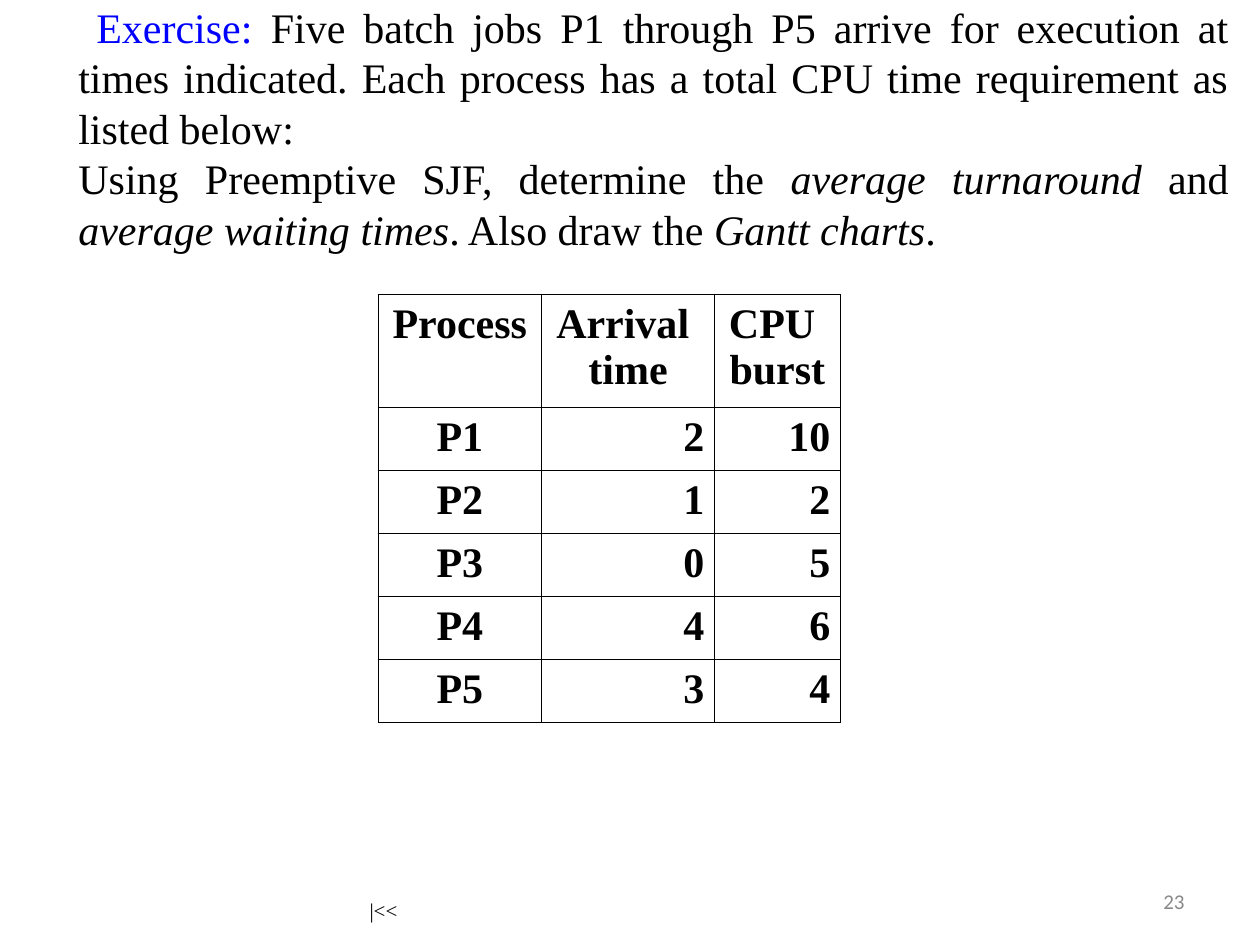
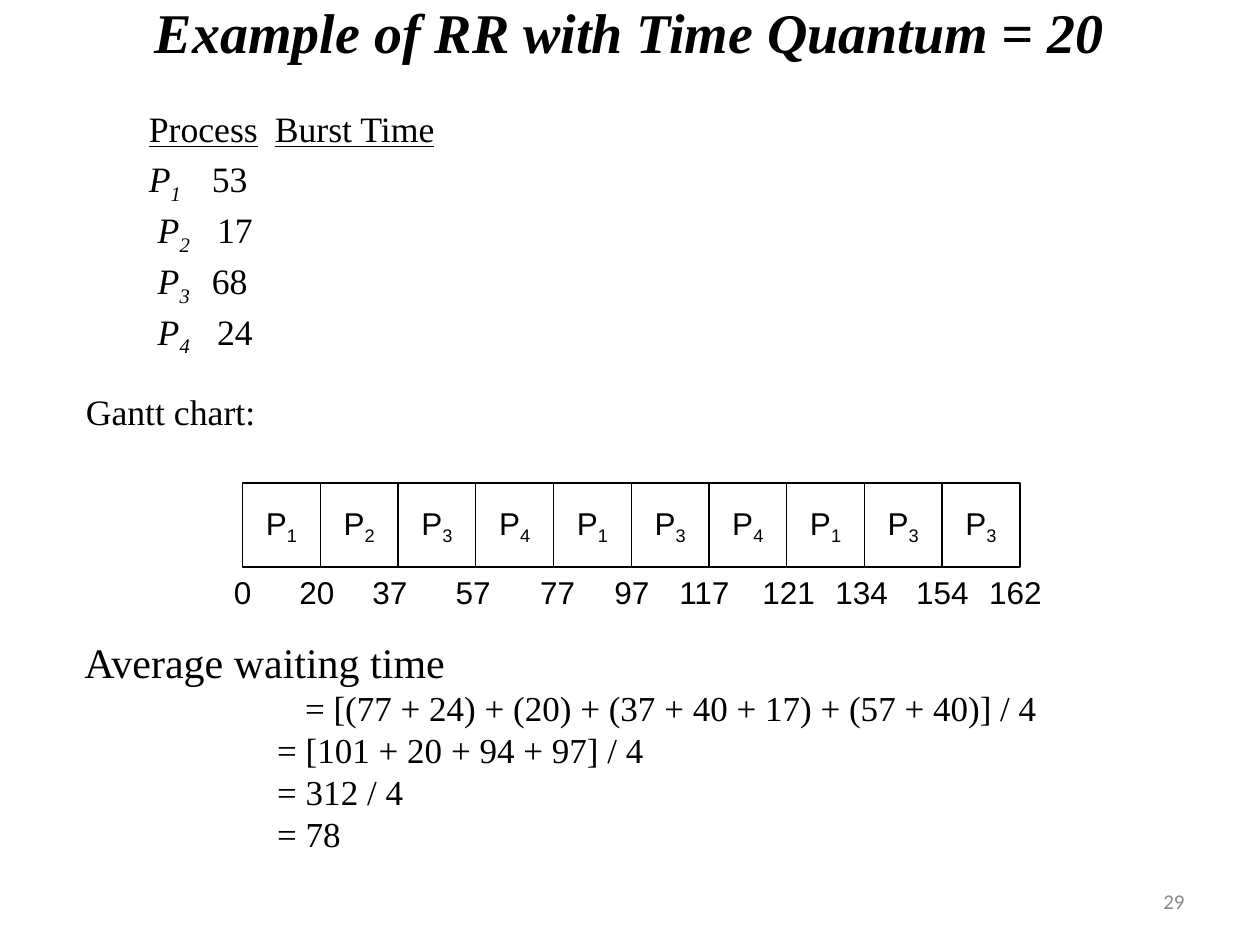
from lxml.etree import SubElement
from pptx import Presentation
from pptx.dml.color import RGBColor
from pptx.enum.shapes import MSO_SHAPE
from pptx.enum.text import MSO_ANCHOR, MSO_AUTO_SIZE, PP_ALIGN
from pptx.oxml.ns import qn
from pptx.util import Cm, Pt

COLOURS = {"ink": "000000", "paper": "FFFFFF", "accent": "0000FF", "muted": "898989"}
SERIF, SANS, FOOTER_FONT = "Times New Roman", "Arial", "Calibri"
SLIDE_SIZE = (25.4, 19.05)
PAGE_NUMBER_BOX = (18.21, 17.65, 5.92, 1.02)
ITALIC = {"italic": True}
UNDERLINE = {"underline": True}
SUBSCRIPT = {"baseline": -25000}
INSETS = {"margin_left": Cm(0.25), "margin_right": Cm(0.25),
          "margin_top": Cm(0.13), "margin_bottom": Cm(0.13)}


def colour(name):
    """Return the named colour."""
    return RGBColor.from_string(COLOURS[name])


def apply_format(target, values):
    """Set each value of a dict on the target."""
    for attribute, value in values.items():
        setattr(target, attribute, value)


def add_run(paragraph, words, style):
    """Add one run in the given style."""
    run = paragraph.add_run()
    run.text = words
    font_values = dict(style)
    ink = font_values.pop("ink", "ink")
    baseline = font_values.pop("baseline", None)
    apply_format(run.font, font_values)
    run.font.color.rgb = colour(ink)
    if baseline:
        run._r.get_or_add_rPr().set("baseline", str(baseline))


def write(frame, paragraphs, style, layout, frame_format=None):
    """Fill a frame with (runs, layout changes) paragraphs."""
    apply_format(frame, {"word_wrap": True, "auto_size": MSO_AUTO_SIZE.NONE,
                         **INSETS, **(frame_format or {})})
    write_paragraphs(frame, paragraphs, style, layout)


def write_paragraphs(frame, paragraphs, style, layout):
    """Write paragraphs with their indents, tabs and runs."""
    for index, (runs, changes) in enumerate(paragraphs):
        paragraph = frame.add_paragraph() if index else frame.paragraphs[0]
        values = {**layout, **changes}
        properties = paragraph._p.get_or_add_pPr()
        properties.set("marL", str(Cm(values.pop("left", 0))))
        properties.set("indent", "0")
        SubElement(properties, qn("a:buNone"))
        tabs = values.pop("tabs", ())
        if tabs:
            stops = SubElement(properties, qn("a:tabLst"))
            for stop in tabs:
                SubElement(stops, qn("a:tab"), pos=str(Cm(stop)), algn="l")
        if index == 0:
            values["space_before"] = Pt(0)
        apply_format(paragraph, values)
        for words, run_changes in runs:
            add_run(paragraph, words, {**style, **run_changes})


def place(shape, box):
    """Move a shape to a box in centimetres."""
    apply_format(shape, dict(zip(("left", "top", "width", "height"), map(Cm, box))))


def add_words(shapes, box, paragraphs, style, layout, frame_format=None):
    """Add a text box."""
    holder = shapes.add_textbox(*map(Cm, box))
    write(holder.text_frame, paragraphs, style, layout, frame_format)


def add_page_number(slide, number):
    """Add the page number at the lower right."""
    add_words(slide.shapes, PAGE_NUMBER_BOX, [([(number, {})], {})],
              {"name": FOOTER_FONT, "size": Pt(12), "ink": "muted"},
              {"alignment": PP_ALIGN.RIGHT}, {"vertical_anchor": MSO_ANCHOR.MIDDLE})


def add_exercise(slide, box):
    """Add the wording of the exercise."""
    task = [
        ([(" Exercise: ", {"ink": "accent"}),
          ("Five batch jobs P1 through P5 arrive for execution at times indicated. "
           "Each process has a total CPU time requirement as listed below: ", {})], {}),
        ([("Using Preemptive SJF, determine the ", {}), ("average turnaround", ITALIC),
          (" and ", {}), ("average waiting times", ITALIC),
          (". Also draw the ", {}), ("Gantt charts", ITALIC), (".", {})], {}),
    ]
    add_words(slide.shapes, box, task, {"name": SERIF, "size": Pt(24)},
              {"alignment": PP_ALIGN.JUSTIFY, "left": 0.94, "line_spacing": Pt(28.8)},
              {"vertical_anchor": MSO_ANCHOR.MIDDLE, "margin_left": Cm(0.64),
               "margin_right": 0, "margin_top": 0, "margin_bottom": 0})


def add_borders(cell):
    """Draw thin lines on the four sides of a cell."""
    properties = cell._tc.get_or_add_tcPr()
    for position, side in enumerate(("lnL", "lnR", "lnT", "lnB")):
        line = properties.makeelement(qn(f"a:{side}"), {"w": str(Pt(0.45))})
        fill = SubElement(line, qn("a:solidFill"))
        SubElement(fill, qn("a:srgbClr"), val=COLOURS["ink"])
        properties.insert(position, line)


def add_job_table(slide, box):
    """Add the table of arrival times and bursts."""
    jobs = [("Process", "Arrival \ntime", "CPU \nburst"), ("P1", "2", "10"),
            ("P2", "1", "2"), ("P3", "0", "5"), ("P4", "4", "6"), ("P5", "3", "4")]
    table = slide.shapes.add_table(len(jobs), 3, *map(Cm, box)).table
    apply_format(table, {"first_row": False, "horz_banding": False})
    for column, width in zip(table.columns, (3.3, 3.48, 2.54)):
        column.width = Cm(width)
    for row_index, job in enumerate(jobs):
        table.rows[row_index].height = Cm(1.27 if row_index else 2.29)
        for column_index, entry in enumerate(job):
            cell = table.cell(row_index, column_index)
            apply_format(cell, {**INSETS, "margin_left": Cm(0.2), "margin_right": Cm(0.2)})
            cell.fill.background()
            add_borders(cell)
            is_number = row_index and column_index
            alignment = PP_ALIGN.RIGHT if is_number else PP_ALIGN.CENTER
            write_paragraphs(cell.text_frame,
                             [([(line, {})], {}) for line in entry.split("\n")],
                             {"name": SERIF, "size": Pt(24), "bold": True},
                             {"alignment": alignment})


def add_title(slide, box, words):
    """Fill the title placeholder."""
    title = slide.shapes.title
    place(title, box)
    write(title.text_frame, [([(words, {})], {})],
          {"name": SERIF, "size": Pt(32), "bold": True, "italic": True},
          {"alignment": PP_ALIGN.CENTER}, {"vertical_anchor": MSO_ANCHOR.MIDDLE})


def add_burst_list(slide, box):
    """Fill the body placeholder with the burst times."""
    bursts = [("", "1", "\t", "53"), (" ", "2", "\t ", "17"),
              (" ", "3", "\t", "68"), (" ", "4", "\t ", "24")]
    lines = [([("\t", {}), ("Process", UNDERLINE), ("\t", {}), ("Burst Time", UNDERLINE)], {})]
    for lead, number, gap, burst in bursts:
        lines.append(([("\t" + lead, {}), ("P", ITALIC),
                       (number + gap, {**ITALIC, **SUBSCRIPT}), (burst, {})], {}))
    lines.append(([("Gantt chart:", {})], {"space_before": Pt(23.5)}))
    body = slide.placeholders[1]
    place(body, box)
    write(body.text_frame, lines, {"name": SERIF, "size": Pt(20.4)},
          {"line_spacing": 0.9, "space_before": Pt(4), "tabs": (3.5, 6.05)})


def add_gantt_chart(slide, box):
    """Add the row of time slices with the times below."""
    left, top, width, height = box
    slices = "1234134133"
    times = {"0": 0, "20": 1.5, "37": 2.97, "57": 4.65, "77": 6.35, "97": 7.85,
             "117": 9.31, "121": 11.01, "134": 12.48, "154": 14.11, "162": 15.58}
    style = {"name": SANS, "size": Pt(18)}
    layout = {"alignment": PP_ALIGN.CENTER}
    frame_format = {"vertical_anchor": MSO_ANCHOR.MIDDLE, "word_wrap": False}
    chart = slide.shapes.add_group_shape().shapes
    slice_width = width / len(slices)
    for index, process in enumerate(slices):
        slot = (left + index * slice_width, top, slice_width, height)
        bar = chart.add_shape(MSO_SHAPE.RECTANGLE, *map(Cm, slot))
        bar.shadow.inherit = False
        bar.fill.solid()
        bar.fill.fore_color.rgb = colour("paper")
        bar.line.color.rgb = colour("ink")
        bar.line.width = Pt(0.75)
        write(bar.text_frame, [([("P", {}), (process, SUBSCRIPT)], {})],
              style, layout, frame_format)
    for time, centre in times.items():
        label_width = 0.52 + 0.34 * len(time)
        add_words(chart, (left + centre - label_width / 2, top + height, label_width, 1.02),
                  [([(time, {})], {})], style, layout, frame_format)


def add_average(slide, box):
    """Add the working of the average waiting time."""
    steps = ["= [(77 + 24) + (20) + (37 + 40 + 17) + (57 + 40)] / 4 ",
             "= [101 + 20 + 94 + 97] / 4 ", "= 312 / 4 ", "= 78"]
    lines = [([("Average waiting time ", {"size": Pt(24)})],
              {"left": 1.45, "line_spacing": Pt(28.8)})]
    for index, step in enumerate(steps):
        lines.append(([(step, {})], {"left": 5.34 if index else 5.9}))
    add_words(slide.shapes, box, lines, {"name": SERIF, "size": Pt(20)},
              {"alignment": PP_ALIGN.JUSTIFY, "line_spacing": Pt(24)})


def build_exercise_slide(deck):
    """Build the scheduling exercise."""
    slide = deck.slides.add_slide(deck.slide_layouts[6])
    add_page_number(slide, "23")
    add_exercise(slide, (0, 0.03, 24.77, 5.08))
    add_job_table(slide, (7.62, 5.93, 9.32, 8.64))
    add_words(slide.shapes, (7.2, 17.7, 1.07, 1.02), [([("|<<", {})], {})],
              {"name": SERIF, "size": Pt(12)},
              {"alignment": PP_ALIGN.JUSTIFY, "line_spacing": 1.5}, {"word_wrap": False})


def build_round_robin_slide(deck):
    """Build the round robin example."""
    slide = deck.slides.add_slide(deck.slide_layouts[1])
    add_title(slide, (0, 0, 25.4, 1.27), "Example of RR with Time Quantum = 20")
    add_burst_list(slide, (1.48, 2.12, 22.65, 7.2))
    add_gantt_chart(slide, (4.89, 9.74, 15.67, 1.69))
    add_page_number(slide, "29")
    add_average(slide, (0, 12.7, 25.4, 4.67))


def main():
    """Build and save the deck."""
    deck = Presentation()
    deck.slide_width, deck.slide_height = map(Cm, SLIDE_SIZE)
    build_exercise_slide(deck)
    build_round_robin_slide(deck)
    deck.save("out.pptx")


if __name__ == "__main__":
    main()
